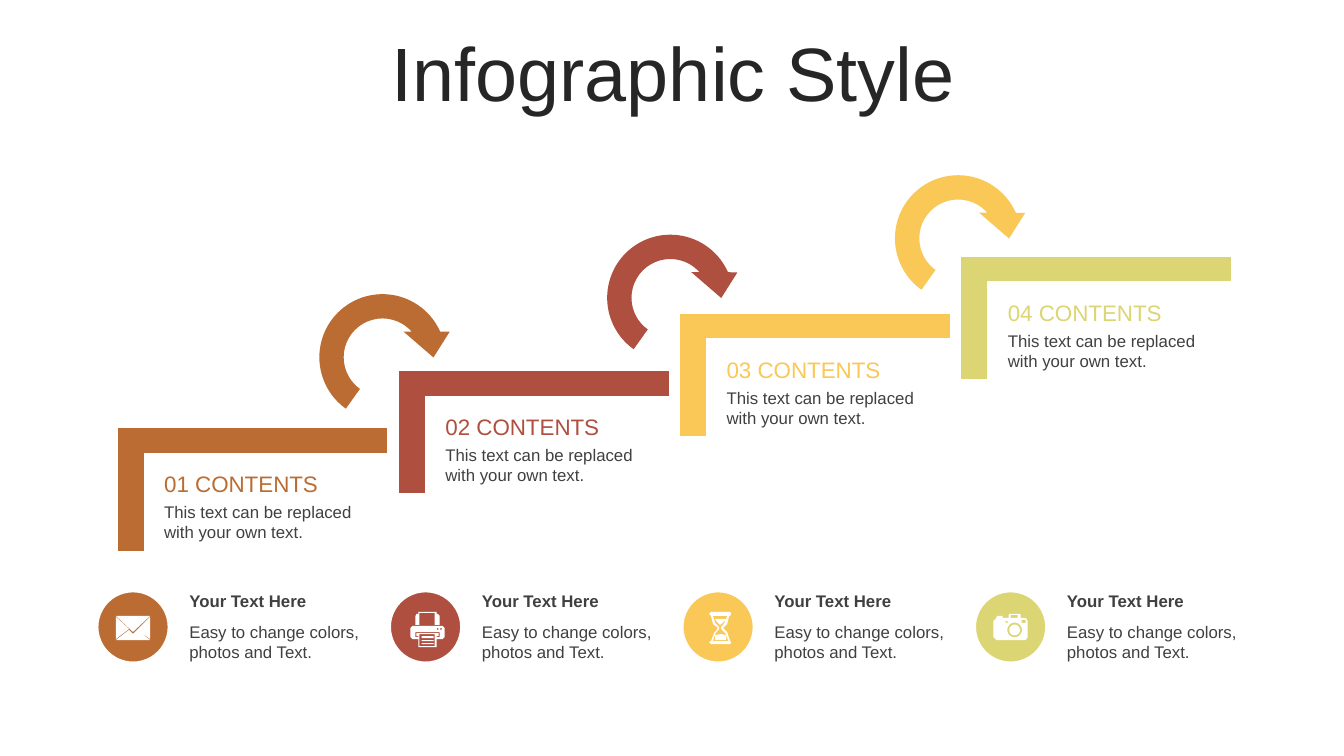
from math import cos, sin, tau

from pptx import Presentation
from pptx.dml.color import RGBColor
from pptx.enum.shapes import MSO_SHAPE as Preset
from pptx.enum.text import MSO_ANCHOR as Anchor, MSO_AUTO_SIZE as AutoSize, PP_ALIGN as Align
from pptx.util import Inches, Pt

CELL = Inches(0.1)
COLUMNS, ROWS = 133.33, 75
FINE = 100
WHITE, INK, TITLE_INK = "FFFFFF", "404040", "262626"
COLORS = ["BB6C32", "AF4F3F", "F9C856", "DCD574"]

STEP_ACROSS, STEP_UP = 27.9, 5.67
ARROW_ACROSS, ARROW_UP = 28.55, 5.9
FEATURE_ACROSS = 29.02


def rect(left, top, right, bottom):
    return [(left, top), (right, top), (right, bottom), (left, bottom)]


def disc(x, y, radius, points=32):
    return [(x + radius * cos(tau * i / points), y + radius * sin(tau * i / points))
            for i in range(points)]


ENVELOPE = [
    [(4, 3), (17, 13), (-17, 13), (-4, 3), (0, 7)],
    [(17, -10), (17, 12), (4, 3)],
    [(-17, -10), (-4, 2), (-17, 12)],
    [(-17, -11), (17, -11), (0, 5)],
]
PRINTER = [
    rect(-4, 16, 8, 17), rect(-4, 13, 8, 14), rect(-4, 9, 8, 11), rect(-6, 7, 9, 19),
    [(-10, 5), (-10, 10), (-7, 10), (-7, 9), (-9, 9), (-9, 6),
     (13, 6), (13, 9), (11, 9), (11, 10), (14, 10), (14, 5)],
    disc(15.3, 2, 0.9), disc(12, 2, 0.9),
    [(-13, -1), (17, -1), (19, 1), (19, 10), (17, 12), (11, 12),
     (11, 20), (-7, 20), (-7, 12), (-13, 12), (-15, 10), (-15, 1)],
    [(-7, -15), (11, -15), (11, -13), (12, -13), (14, -11), (14, -2), (9, -2),
     (9, -14), (-6, -14), (-6, -2), (-10, -2), (-10, -11), (-9, -13), (-7, -13)],
]
HOURGLASS = [
    [(3, 7), (8, 8), (8, 13), (-3, 13), (-3, 8)],
    [(-3, -8), (8, -8), (7, -6), (2, -2), (-2, -6)],
    [(-5, -11), (-3, -4), (1, 0), (1, 2), (-3, 7), (-5, 14),
     (10, 14), (8, 7), (3, 2), (3, 0), (7, -5), (9, -11)],
    [(-7, -15), (12, -15), (13, -13), (12, -11), (11, -11), (9, -3), (5, 1),
     (9, 5), (12, 14), (13, 15), (12, 17), (-7, 17), (-9, 15), (-7, 14),
     (-4, 6), (0, 1), (-5, -3), (-7, -11), (-9, -13)],
]
CAMERA = [
    disc(4, 3, 5.3), disc(4, 3, 7.3),
    rect(-5, -6, -3, -4), rect(11, -7, 15, -4), rect(0, -12, 7, -9),
    [(-1, -13), (9, -13), (10, -12), (10, -9), (15, -9), (17, -6), (17, 10),
     (15, 13), (-14, 13), (-17, 10), (-17, -6), (-14, -9), (-14, -10),
     (-13, -11), (-8, -11), (-8, -9), (-2, -9), (-2, -12)],
]
ICONS = [ENVELOPE, PRINTER, HOURGLASS, CAMERA]


def cells(*counts):
    return [round(count * CELL) for count in counts]


def color(code):
    return RGBColor.from_string(code)


def paint(shape, fill, line=None):
    shape.shadow.inherit = False
    shape.fill.solid()
    shape.fill.fore_color.rgb = color(fill)
    if line:
        shape.line.color.rgb = color(line)
        shape.line.width = Pt(1)
    else:
        shape.line.fill.background()


def add_preset(page, preset, area, fill, line=None, adjustments=(), rotation=0):
    shape = page.shapes.add_shape(preset, *cells(*area))
    for index, value in enumerate(adjustments):
        shape.adjustments[index] = value
    shape.rotation = rotation
    paint(shape, fill, line)


def add_text(page, text, area, size=12, ink=INK, bold=False, align=Align.LEFT,
             anchor=Anchor.TOP, fit=AutoSize.SHAPE_TO_FIT_TEXT, spacing=1.0):
    box = page.shapes.add_textbox(*cells(*area))
    frame = box.text_frame
    frame.word_wrap = True
    frame.auto_size = fit
    frame.vertical_anchor = anchor
    para = frame.paragraphs[0]
    para.alignment = align
    para.line_spacing = spacing
    span = para.add_run()
    span.text = text
    span.font.name = "Arial"
    span.font.size = Pt(size)
    span.font.bold = bold
    span.font.color.rgb = color(ink)


def add_icon(page, contours, center_x, center_y):
    outlines = [[(x * FINE, y * FINE) for x, y in contour] for contour in contours]
    builder = page.shapes.build_freeform(*outlines[0][0], scale=CELL / 10 / FINE)
    for outline in outlines:
        builder.move_to(*outline[0])
        builder.add_line_segments(outline[1:], close=True)
    paint(builder.convert_to_shape(*cells(center_x, center_y)), WHITE)


def add_step(page, index, fill):
    across, up = index * STEP_ACROSS, index * STEP_UP
    add_preset(page, Preset.CORNER, (18.9 + across, 35.1 - up, 12.3, 26.9), fill,
               line=WHITE, adjustments=(0.221, 0.21), rotation=90)
    add_text(page, "This text can be replaced with your own text.",
             (15.3 + across, 49.3 - up, 21.4, 5))
    add_text(page, f"{index + 1:02} CONTENTS", (15.3 + across, 46.1 - up, 21.3, 3.7),
             size=16, ink=fill, anchor=Anchor.BOTTOM)


def add_arrow(page, index, fill):
    area = (30.6 + index * ARROW_ACROSS, 28.1 - index * ARROW_UP, 14.7, 14.7)
    add_preset(page, Preset.CIRCULAR_ARROW, area, fill,
               adjustments=(0.164, 18.214, 197.903, 75.279, 0.156))


def add_feature(page, index, fill, icon):
    left = 9.7 + index * FEATURE_ACROSS
    add_preset(page, Preset.OVAL, (left, 58.7, 7, 7), fill, line=WHITE)
    add_icon(page, icon, left + 3.5, 62.2)
    add_text(page, "Your Text Here", (left + 8.1, 58.1, 19.5, 3), bold=True)
    add_text(page, "Easy to change colors, photos and Text.", (left + 8.1, 61.2, 19.5, 5))


def main():
    deck = Presentation()
    deck.slide_width, deck.slide_height = cells(COLUMNS, ROWS)
    page = deck.slides.add_slide(deck.slide_layouts[6])
    add_text(page, "Infographic Style", (3.5, 3.7, 126.6, 7.9), size=54, ink=TITLE_INK,
             align=Align.CENTER, anchor=Anchor.MIDDLE, fit=AutoSize.NONE, spacing=0.9)
    for index, (fill, icon) in enumerate(zip(COLORS, ICONS)):
        add_step(page, index, fill)
        add_feature(page, index, fill, icon)
    for index, fill in enumerate(COLORS[:-1]):
        add_arrow(page, index, fill)
    deck.save("out.pptx")


if __name__ == "__main__":
    main()
